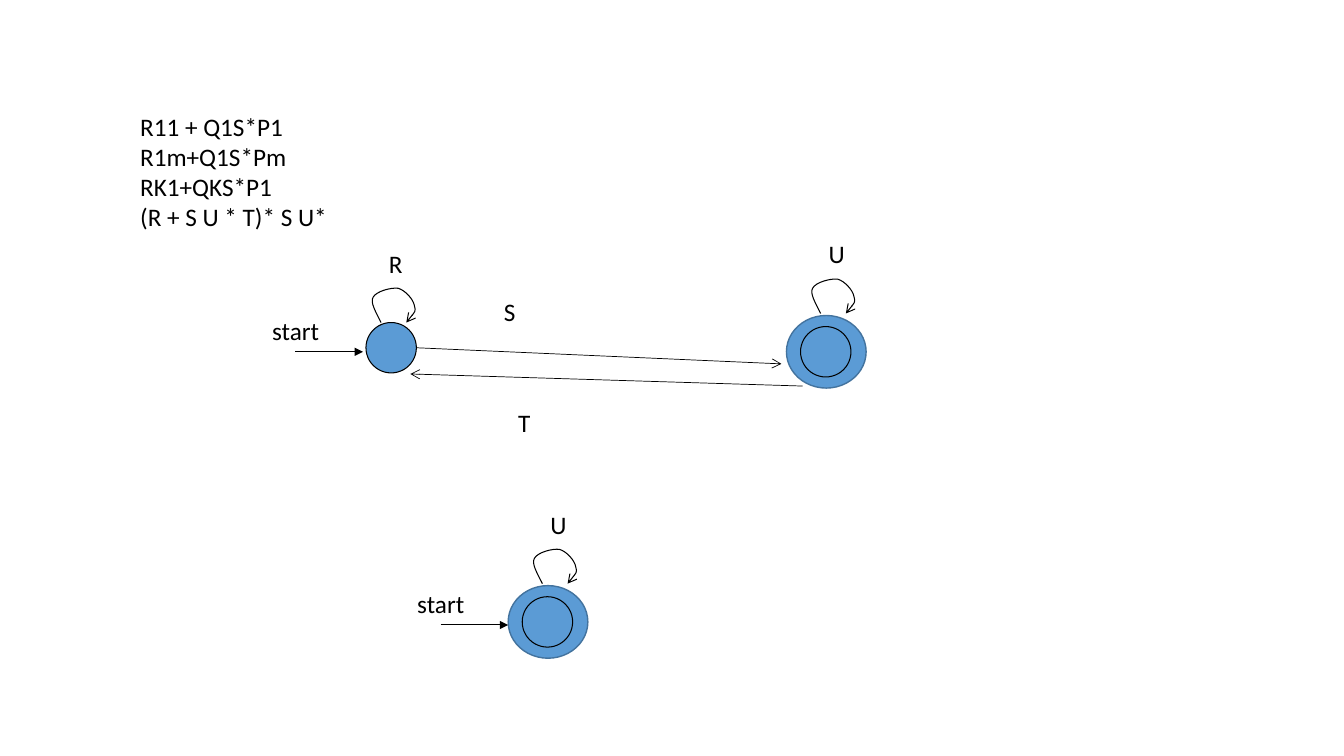
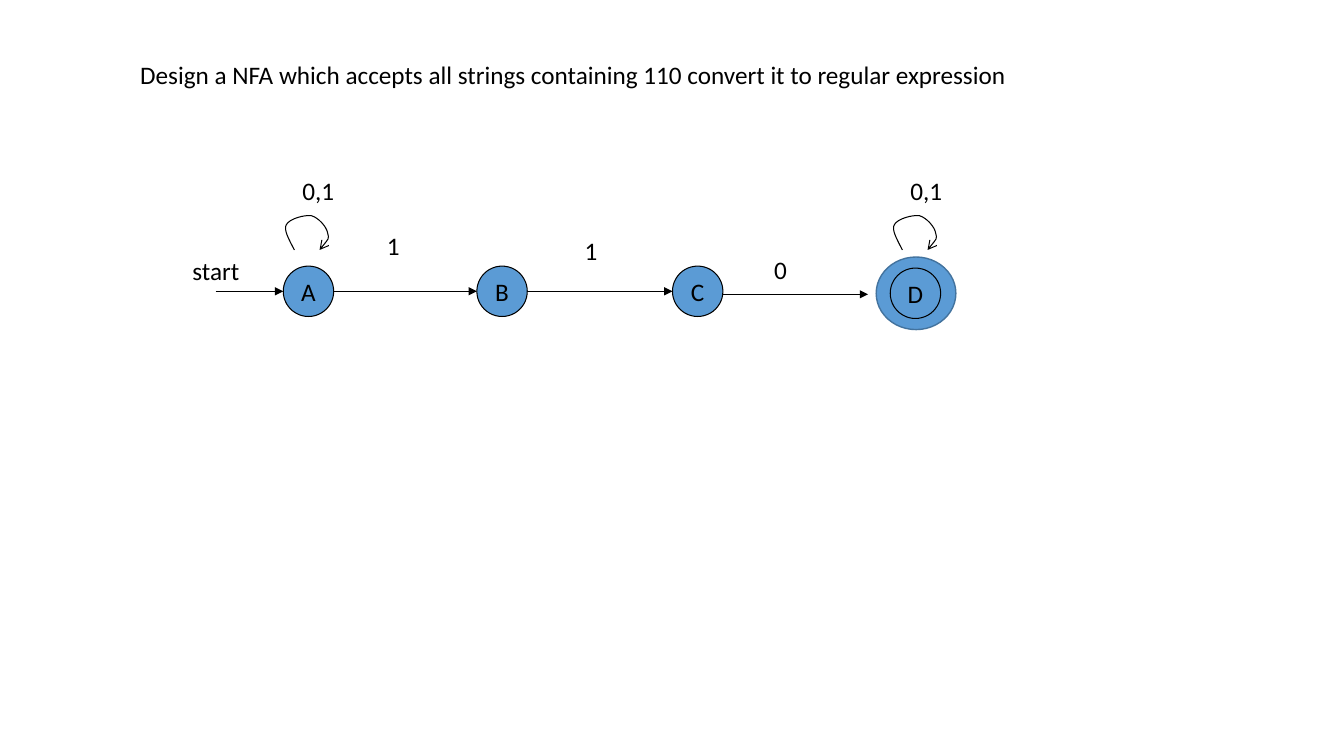
from pptx import Presentation
from pptx.dml.color import RGBColor
from pptx.enum.shapes import MSO_CONNECTOR as Connector, MSO_SHAPE as Preset
from pptx.enum.text import MSO_ANCHOR as Anchor, MSO_AUTO_SIZE as AutoSize, PP_ALIGN as Align
from pptx.oxml.ns import qn
from pptx.util import Pt
from lxml import etree

PX = 9144
COLORS = {"ink": "000000", "state": "5B9BD5", "ring": "43739E"}
FONT = "Calibri"
STATE = 50
RING_WIDTH, RING_HEIGHT = 79, 72
LOOP_CURVE = [(-5, -10), (-11, -20), (-8, -25), (-5, -31), (10, -35), (17, -34),
              (24, -32), (32, -23), (33, -17), (35, -11), (30, -6), (25, 0)]


def px(*lengths):
    return [length * PX for length in lengths]


def color(name):
    return RGBColor.from_string(COLORS[name])


def style_line(line, name="ink", width=0.75):
    line.color.rgb = color(name)
    line.width = Pt(width)


def add_arrowhead(shape, head):
    outline = shape.line._get_or_add_ln()
    etree.SubElement(outline, qn("a:tailEnd"), type=head)


def style_paragraph(paragraph, align=Align.LEFT):
    paragraph.alignment = align
    paragraph.space_before = Pt(0)
    paragraph.font.name = FONT
    paragraph.font.size = Pt(18)
    paragraph.font.bold = False
    paragraph.font.color.rgb = color("ink")


def fill_placeholder(placeholder, left, top, width, height, lines):
    placeholder.left, placeholder.top, placeholder.width, placeholder.height = px(left, top, width, height)
    frame = placeholder.text_frame
    frame.text = "\n".join(lines)
    frame.vertical_anchor = Anchor.TOP
    frame.auto_size = AutoSize.NONE
    for paragraph in frame.paragraphs:
        properties = paragraph._p.get_or_add_pPr()
        properties.set("marL", "0")
        properties.set("indent", "0")
        etree.SubElement(properties, qn("a:buNone"))
        style_paragraph(paragraph)


def add_label(slide, left, top, text, width=34):
    box = slide.shapes.add_textbox(*px(left, top, width, 40))
    frame = box.text_frame
    frame.word_wrap = False
    frame.auto_size = AutoSize.SHAPE_TO_FIT_TEXT
    frame.text = text
    style_paragraph(frame.paragraphs[0])


def add_arrow(slide, start, end, head="triangle", width=0.75):
    arrow = slide.shapes.add_connector(Connector.STRAIGHT, *px(*start, *end))
    style_line(arrow.line, width=width)
    add_arrowhead(arrow, head)
    etree.SubElement(arrow._element.spPr, qn("a:effectLst"))


def add_circle(slide, left, top, width, height, line_color, line_width):
    circle = slide.shapes.add_shape(Preset.OVAL, *px(left, top, width, height))
    circle.shadow.inherit = False
    circle.fill.solid()
    circle.fill.fore_color.rgb = color("state")
    style_line(circle.line, line_color, line_width)
    return circle


def add_state(slide, left, top, name=""):
    circle = add_circle(slide, left, top, STATE, STATE, "ink", 0.75)
    if name:
        frame = circle.text_frame
        frame.word_wrap = False
        frame.vertical_anchor = Anchor.MIDDLE
        frame.text = name
        style_paragraph(frame.paragraphs[0], Align.CENTER)


def add_final_state(slide, left, top, name=""):
    add_circle(slide, left, top, RING_WIDTH, RING_HEIGHT, "ring", 1)
    add_state(slide, left + 14, top + 11, name)


def add_loop(slide, left, top, text, label_width=36):
    builder = slide.shapes.build_freeform(left, top, scale=PX)
    builder.add_line_segments([(left + x, top + y) for x, y in LOOP_CURVE], close=False)
    loop = builder.convert_to_shape()
    segments = loop._element.findall(".//" + qn("a:lnTo"))
    for index in range(0, len(segments), 3):
        curve = etree.Element(qn("a:cubicBezTo"))
        segments[index].addprevious(curve)
        for segment in segments[index:index + 3]:
            curve.append(segment[0])
            segment.getparent().remove(segment)
    loop.shadow.inherit = False
    loop.fill.background()
    style_line(loop.line)
    add_arrowhead(loop, "arrow")
    add_label(slide, left - 2, top - 79, text, label_width)


def add_start(slide, left, top):
    add_arrow(slide, (left + 33, top + 41), (left + 100, top + 41))
    add_label(slide, left, top, "start", 67)


def add_elimination_slide(presentation):
    slide = presentation.slides.add_slide(presentation.slide_layouts[1])
    title = slide.shapes.title
    title._element.getparent().remove(title._element)
    fill_placeholder(slide.placeholders[1], 129, 105, 1118, 161,
                     ["R11 + Q1S*P1", "R1m+Q1S*Pm", "RK1+QKS*P1", "(R + S U * T)* S U*"])
    add_state(slide, 363, 320)
    add_loop(slide, 378, 320, "R")
    add_start(slide, 260, 308)
    add_arrow(slide, (413, 345), (775, 361), "arrow", 0.5)
    add_arrow(slide, (796, 383), (407, 371), "arrow", 0.5)
    add_label(slide, 490, 289, "S")
    add_label(slide, 504, 399, "T")
    for left, top in [(780, 313), (504, 581)]:
        add_final_state(slide, left, top)
        add_loop(slide, left + 34, top - 2, "U")
    add_start(slide, 404, 579)


def add_automaton_slide(presentation):
    slide = presentation.slides.add_slide(presentation.slide_layouts[5])
    fill_placeholder(slide.shapes.title, 129, 54, 1118, 40,
                     ["Design a NFA which accepts all strings containing 110 convert it to regular expression"])
    lefts = [281, 473, 667]
    for name, left in zip("ABC", lefts):
        add_state(slide, left, 264, name)
    add_final_state(slide, 869, 255, "D")
    for left, following in zip(lefts, lefts[1:]):
        add_arrow(slide, (left + STATE, 289), (following, 289))
    add_arrow(slide, (lefts[-1] + STATE, 292), (861, 292))
    for left, top, symbol in [(374, 224, "1"), (570, 229, "1"), (758, 247, "0")]:
        add_label(slide, left, top, symbol)
    add_start(slide, 181, 248)
    for left in (292, 895):
        add_loop(slide, left, 248, "0,1", 52)


def main():
    presentation = Presentation()
    presentation.slide_width, presentation.slide_height = px(1333, 750)
    add_elimination_slide(presentation)
    add_automaton_slide(presentation)
    presentation.save("out.pptx")


if __name__ == "__main__":
    main()
